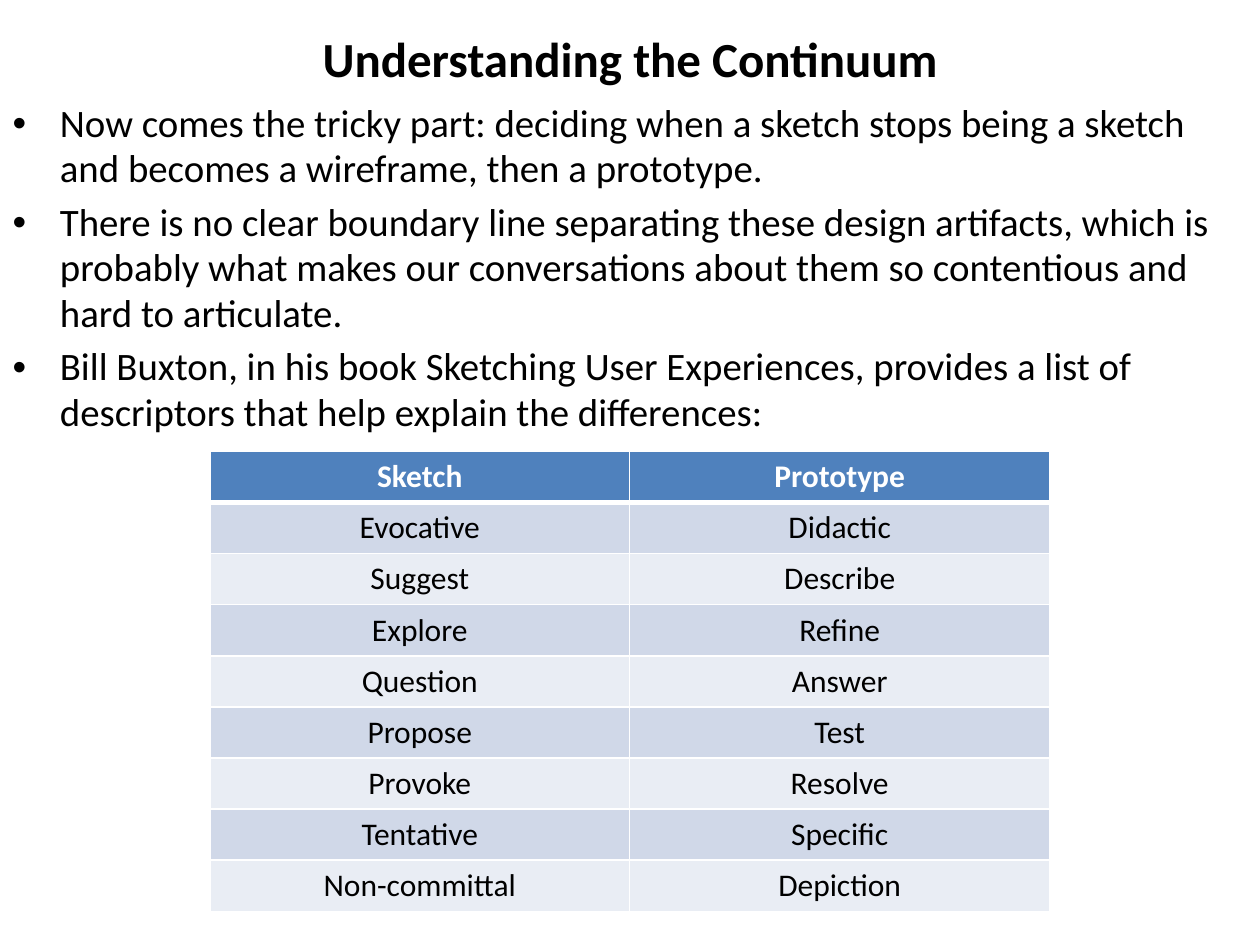
import pptx
import pptx.dml.color
import pptx.enum.text
import pptx.oxml.ns
import pptx.util
from lxml import etree
from pptx.util import Cm

HEADING = "Understanding the Continuum"
POINTS = [
    "Now comes the tricky part: deciding when a sketch stops being a sketch "
    "and becomes a wireframe, then a prototype.",
    "There is no clear boundary line separating these design artifacts, which is "
    "probably what makes our conversations about them so contentious and "
    "hard to articulate.",
    "Bill Buxton, in his book Sketching User Experiences, provides a list of "
    "descriptors that help explain the differences:",
]
DESCRIPTORS = [
    ("Sketch", "Prototype"),
    ("Evocative", "Didactic"),
    ("Suggest", "Describe"),
    ("Explore", "Refine"),
    ("Question", "Answer"),
    ("Propose", "Test"),
    ("Provoke", "Resolve"),
    ("Tentative", "Specific"),
    ("Non-committal", "Depiction"),
]


def color(value):
    return pptx.dml.color.RGBColor.from_string(value)


class SlideWriter:
    font = "Calibri"
    ink = "000000"
    paper = "FFFFFF"
    header = "4F81BD"
    bands = ("D0D8E8", "E9EDF4")

    def __init__(self, slide):
        self.slide = slide

    def run(self, paragraph, text, size, ink=None, bold=False):
        run = paragraph.add_run()
        run.text = text
        run.font.name = self.font
        run.font.size = pptx.util.Pt(size)
        run.font.bold = bold
        run.font.color.rgb = color(ink or self.ink)

    def place(self, placeholder, left, top, width, height):
        placeholder.left, placeholder.top = Cm(left), Cm(top)
        placeholder.width, placeholder.height = Cm(width), Cm(height)
        frame = placeholder.text_frame
        frame.auto_size = pptx.enum.text.MSO_AUTO_SIZE.NONE
        frame.word_wrap = True
        return frame

    def title(self, text, *box):
        frame = self.place(self.slide.shapes.title, *box)
        frame.vertical_anchor = pptx.enum.text.MSO_ANCHOR.MIDDLE
        heading = frame.paragraphs[0]
        heading.alignment = pptx.enum.text.PP_ALIGN.CENTER
        self.run(heading, text, 28, bold=True)

    def bullets(self, points, *box):
        frame = self.place(self.slide.placeholders[1], *box)
        for index, text in enumerate(points):
            point = frame.add_paragraph() if index else frame.paragraphs[0]
            point.space_before = pptx.util.Pt(4.4 if index else 0)
            point.line_spacing = 0.98
            self.run(point, text, 22.2)

    def border(self, cell, side, width):
        properties = cell._tc.get_or_add_tcPr()
        line = etree.SubElement(properties, pptx.oxml.ns.qn(f"a:ln{side}"))
        line.set("w", str(pptx.util.Pt(width)))
        fill = etree.SubElement(line, pptx.oxml.ns.qn("a:solidFill"))
        etree.SubElement(fill, pptx.oxml.ns.qn("a:srgbClr")).set("val", self.paper)

    def table(self, rows, left, top, width, height):
        columns = len(rows[0])
        table = self.slide.shapes.add_table(
            len(rows), columns, Cm(left), Cm(top), Cm(width), Cm(height)
        ).table
        for row, words in enumerate(rows):
            is_header = row == 0
            for column, word in enumerate(words):
                cell = table.cell(row, column)
                edges = {"L": 1, "R": 1, "T": 3 if row == 1 else 1,
                         "B": 3 if is_header else 1}
                for side, thickness in edges.items():
                    self.border(cell, side, thickness)
                cell.fill.solid()
                cell.fill.fore_color.rgb = color(
                    self.header if is_header else self.bands[(row - 1) % 2])
                paragraph = cell.text_frame.paragraphs[0]
                paragraph.alignment = pptx.enum.text.PP_ALIGN.CENTER
                self.run(paragraph, word, 18,
                         self.paper if is_header else self.ink, is_header)


def main():
    deck = pptx.Presentation()
    deck.slide_width, deck.slide_height = Cm(25.4), Cm(19.05)
    writer = SlideWriter(deck.slides.add_slide(deck.slide_layouts[1]))
    writer.title(HEADING, 0, 0, 25.4, 2.33)
    writer.bullets(POINTS, 0, 1.9, 25.4, 7)
    writer.table(DESCRIPTORS, 4.23, 9.1, 16.93, 9.27)
    deck.save("out.pptx")


if __name__ == "__main__":
    main()
